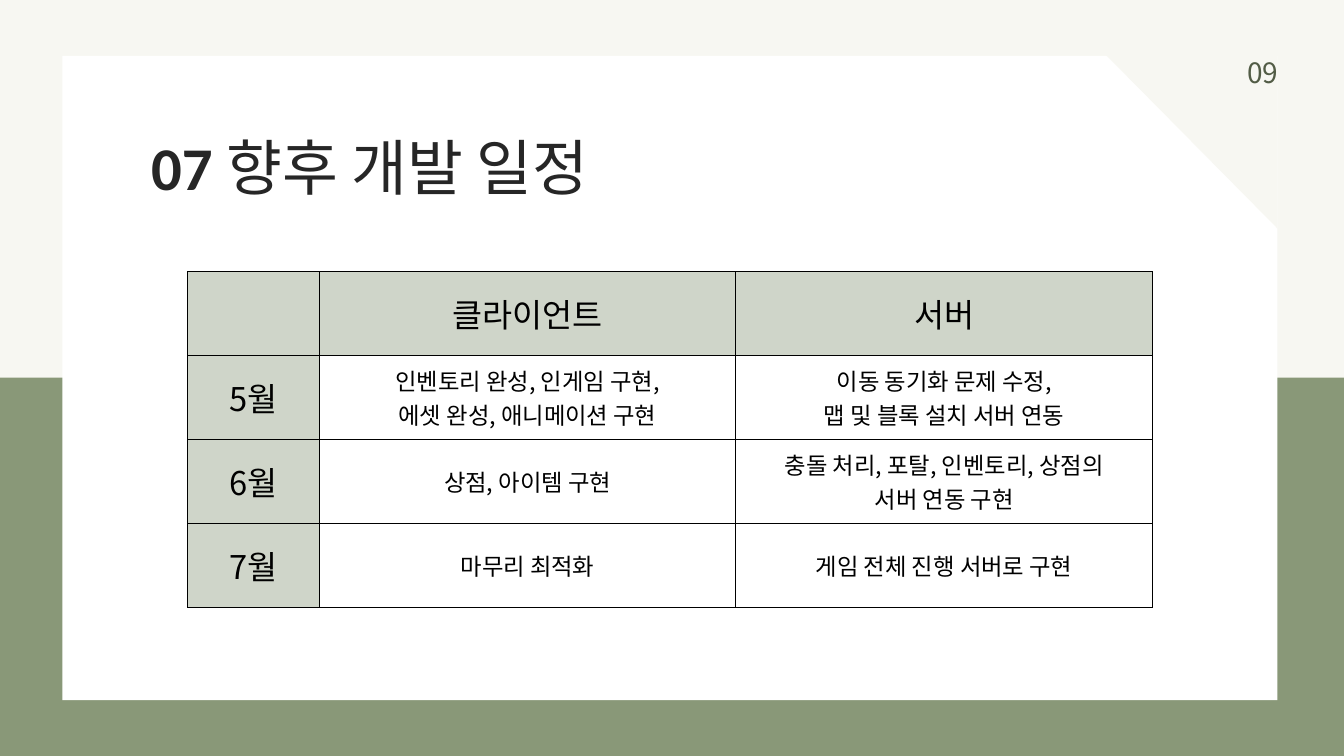
import pptx
import pptx.util
import pptx.dml.color
import pptx.enum.shapes
import pptx.enum.text
import pptx.oxml
import pptx.oxml.ns
from lxml import etree

Inches = pptx.util.Inches
Pt = pptx.util.Pt
ALIGN = pptx.enum.text.PP_ALIGN
SHAPE = pptx.enum.shapes.MSO_SHAPE

COLORS = {
    "paper": "F7F7F2",
    "green": "899878",
    "white": "FFFFFF",
    "title": "262626",
    "header": "CFD5C9",
    "number": "525C46",
    "black": "000000",
}
KOREAN = "Noto Sans CJK KR"
LATIN = "Calibri"

SCHEDULE = [
    ["", "클라이언트", "서버"],
    ["5월", "인벤토리 완성, 인게임 구현,\v에셋 완성, 애니메이션 구현",
     "이동 동기화 문제 수정,\v맵 및 블록 설치 서버 연동"],
    ["6월", "상점, 아이템 구현",
     "충돌 처리, 포탈, 인벤토리, 상점의\v서버 연동 구현"],
    ["7월", "마무리 최적화", "게임 전체 진행 서버로 구현"],
]


def rgb(name):
    """Return the named colour."""
    return pptx.dml.color.RGBColor.from_string(COLORS[name])


def style_run(r, size, color, font=KOREAN, bold=False):
    """Set the Latin and East Asian fonts, size and colour of a run."""
    r.font.size = Pt(size)
    r.font.bold = bold
    r.font.color.rgb = rgb(color)
    r.font.name = font
    ea = etree.SubElement(r.font._element, pptx.oxml.ns.qn("a:ea"))
    ea.set("typeface", KOREAN)


def add_block(slide, kind, x, y, w, h, color):
    """Add a plain filled shape without an outline."""
    s = slide.shapes.add_shape(kind, Inches(x), Inches(y), Inches(w), Inches(h))
    s.shadow.inherit = False
    s.fill.solid()
    s.fill.fore_color.rgb = rgb(color)
    s.line.fill.background()
    return s


def add_text(slide, x, y, w, h):
    """Add a wrapping text box without margins and return its paragraph."""
    tf = slide.shapes.add_textbox(Inches(x), Inches(y), Inches(w), Inches(h)).text_frame
    tf.word_wrap = True
    tf.margin_left = tf.margin_right = tf.margin_top = tf.margin_bottom = 0
    return tf.paragraphs[0]


def add_title(slide, x, y, w, h):
    """Add the bold section number and the section title."""
    p = add_text(slide, x, y, w, h)
    p.line_spacing = Pt(119)
    for text, bold in (("07 ", True), ("향후 개발 일정", False)):
        r = p.add_run()
        r.text = text
        style_run(r, 65, "title", LATIN, bold)


def add_page_number(slide, x, y, w, h):
    """Add the right-aligned page number."""
    p = add_text(slide, x, y, w, h)
    p.text = "09"
    p.alignment = ALIGN.RIGHT
    style_run(p.runs[0], 30, "number")


def set_borders(cell):
    """Draw a thin black line on each side of a cell."""
    tc_pr = cell._tc.get_or_add_tcPr()
    for i, side in enumerate("LRTB"):
        tc_pr.insert(i, pptx.oxml.parse_xml(
            f'<a:ln{side} {pptx.oxml.ns.nsdecls("a")} w="{Pt(1)}"><a:solidFill>'
            f'<a:srgbClr val="{COLORS["black"]}"/></a:solidFill></a:ln{side}>'))


def add_schedule(slide, x, y, w, h):
    """Add the monthly schedule with a shaded header row and month column."""
    month_w = 1.96
    n_rows, n_cols = len(SCHEDULE), len(SCHEDULE[0])
    table = slide.shapes.add_table(
        n_rows, n_cols, Inches(x), Inches(y), Inches(w), Inches(h)).table
    table.first_row = table.horz_banding = False
    for col in table.columns:
        col.width = Inches((w - month_w) / (n_cols - 1))
    table.columns[0].width = Inches(month_w)
    for i, texts in enumerate(SCHEDULE):
        table.rows[i].height = Inches(h / n_rows)
        for j, text in enumerate(texts):
            cell = table.cell(i, j)
            is_header = i == 0 or j == 0
            if is_header:
                cell.fill.solid()
                cell.fill.fore_color.rgb = rgb("header")
            else:
                cell.fill.background()
            set_borders(cell)
            cell.vertical_anchor = pptx.enum.text.MSO_ANCHOR.MIDDLE
            p = cell.text_frame.paragraphs[0]
            p.text = text
            p.alignment = ALIGN.CENTER
            for r in p.runs:
                style_run(r, 35 if is_header else 25, "black")


def add_backdrop(slide, x, y, w, h):
    """Add the green band and the white panel."""
    add_block(slide, SHAPE.RECTANGLE, -0.46, 5.62, 20.87, 5.85, "green")
    add_block(slide, SHAPE.RECTANGLE, x, y, w, h, "white")


def add_corner(slide, x, y, w, h):
    """Cut the top right corner of the panel with a triangle."""
    add_block(slide, SHAPE.RIGHT_TRIANGLE, x, y, w, h, "paper").rotation = 180


def main():
    """Build and save the slide."""
    prs = pptx.Presentation()
    prs.slide_width, prs.slide_height = Inches(20), Inches(11.25)
    slide = prs.slides.add_slide(prs.slide_layouts[6])
    slide.background.fill.solid()
    slide.background.fill.fore_color.rgb = rgb("paper")
    add_backdrop(slide, 0.93, 0.83, 18.08, 9.59)
    add_title(slide, 2.25, 1.37, 12.25, 1.5)
    add_schedule(slide, 2.79, 4.04, 14.36, 5)
    add_corner(slide, 16.47, 0.83, 2.54, 2.57)
    add_page_number(slide, 17.67, 0.83, 1.35, 0.5)
    prs.save("out.pptx")


if __name__ == "__main__":
    main()
